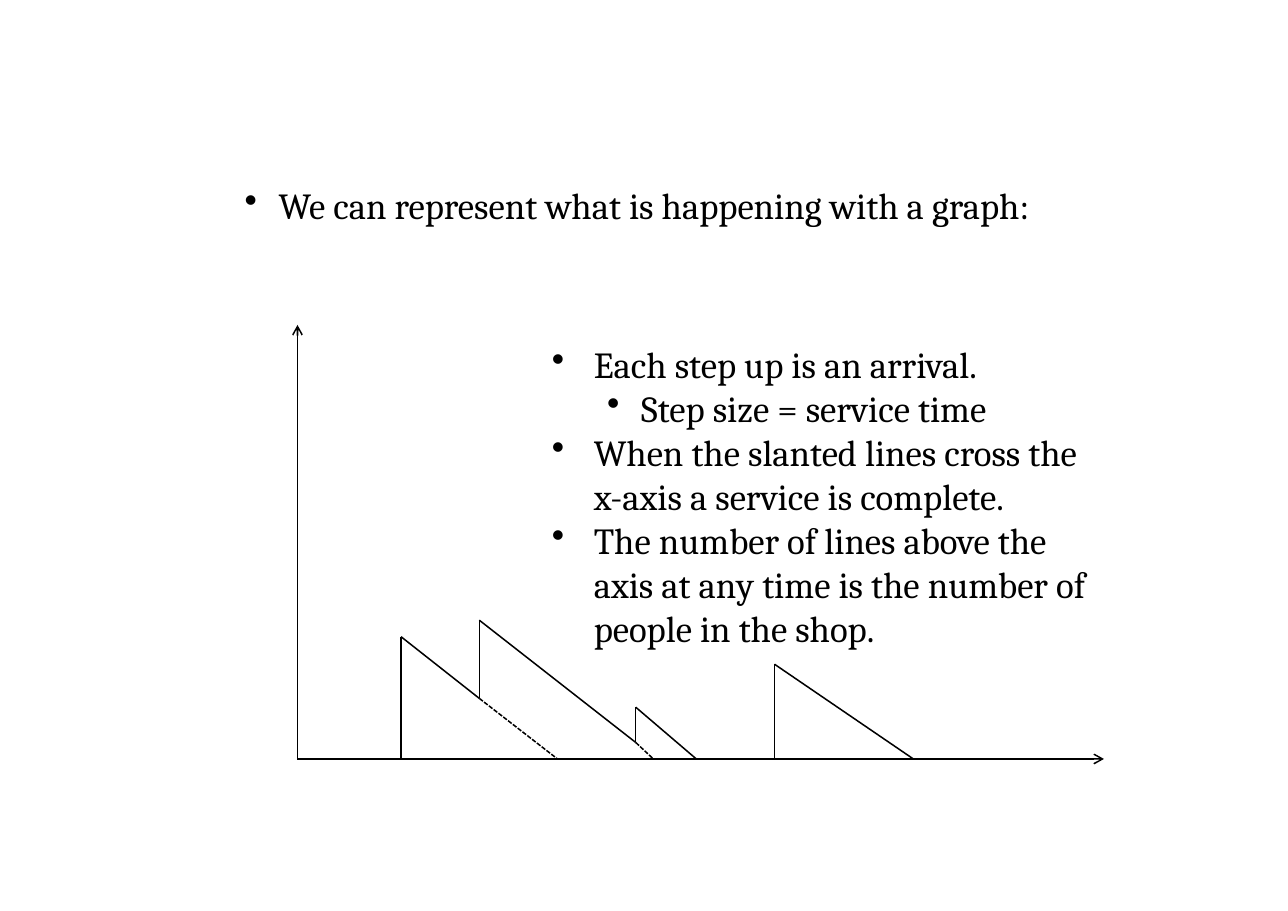
from dataclasses import dataclass

from lxml.etree import SubElement
from pptx import Presentation
from pptx.dml.color import RGBColor
from pptx.enum.dml import MSO_LINE_DASH_STYLE as Dash
from pptx.enum.shapes import MSO_CONNECTOR as Connector
from pptx.enum.text import MSO_ANCHOR as Anchor
from pptx.oxml.ns import qn
from pptx.slide import Slide
from pptx.util import Emu, Pt

EMU_PER_PX = 9144
BLACK = RGBColor(0, 0, 0)
FONT = "Cambria"
FONT_SIZE = Pt(24)
LINE_WIDTH = Pt(1)

ORIGIN_X, BASE_Y = 270, 689
TIME_AXIS_END, WORK_AXIS_TOP = 1002, 295

Point = tuple[int, int]


@dataclass(frozen=True)
class Arrival:
    """A step up at x from foot to top, then a slope to end.

    finish is where the slope would meet the time axis if cut short.
    """
    x: int
    foot: int
    top: int
    end: Point
    finish: int | None = None


@dataclass(frozen=True)
class Bullet:
    lines: tuple[str, ...]
    margin: int
    hanging: int
    level: int = 0


ARRIVALS = (
    Arrival(364, BASE_Y, 578, (435, 634), finish=506),
    Arrival(435, 634, 563, (577, 674), finish=593),
    Arrival(577, 674, 642, (632, BASE_Y)),
    Arrival(703, BASE_Y, 603, (829, BASE_Y)),
)

INTRO = (Bullet(("We can represent what is happening with a graph:",), 31, 31),)

NOTES = (
    Bullet(("Each step up is an arrival.",), 38, 38),
    Bullet(("Step size = service time",), 81, 31, level=1),
    Bullet(("When the slanted lines cross the",
            "x-axis a service is complete."), 38, 38),
    Bullet(("The number of lines above the",
            "axis at any time is the number of",
            "people in the shop."), 38, 38),
)


def px(length: int) -> Emu:
    return Emu(length * EMU_PER_PX)


def draw_line(page: Slide, start: Point, end: Point,
              dashed: bool = False, arrow: bool = False) -> None:
    line = page.shapes.add_connector(
        Connector.STRAIGHT, *map(px, start), *map(px, end))
    line.line.color.rgb = BLACK
    line.line.width = LINE_WIDTH
    if dashed:
        line.line.dash_style = Dash.SQUARE_DOT
    properties = line.element.spPr
    if arrow:
        SubElement(properties.find(qn("a:ln")), qn("a:tailEnd"), type="arrow")
    SubElement(properties, qn("a:effectLst"))


def draw_arrival(page: Slide, arrival: Arrival) -> None:
    peak = (arrival.x, arrival.top)
    draw_line(page, (arrival.x, arrival.foot), peak)
    draw_line(page, peak, arrival.end)
    if arrival.finish is not None:
        draw_line(page, arrival.end, (arrival.finish, BASE_Y), dashed=True)


def add_bullets(page: Slide, left: int, top: int, width: int, height: int,
                inset_top: int, bullets: tuple[Bullet, ...]) -> None:
    box = page.shapes.add_textbox(px(left), px(top), px(width), px(height))
    frame = box.text_frame
    frame.word_wrap = True
    frame.vertical_anchor = Anchor.TOP
    frame.margin_left = frame.margin_right = frame.margin_bottom = 0
    frame.margin_top = px(inset_top)
    for index, bullet in enumerate(bullets):
        para = frame.add_paragraph() if index else frame.paragraphs[0]
        para.level = bullet.level
        para.font.size = FONT_SIZE
        properties = para.font._element.getparent()
        properties.set("marL", str(px(bullet.margin)))
        properties.set("indent", str(-px(bullet.hanging)))
        properties.insert(0, properties.makeelement(qn("a:buChar"), {"char": "•"}))
        for number, text in enumerate(bullet.lines):
            if number:
                para.add_line_break()
            span = para.add_run()
            span.text = text
            span.font.name = FONT
            span.font.size = FONT_SIZE
            span.font.color.rgb = BLACK


def main() -> None:
    deck = Presentation()
    deck.slide_width, deck.slide_height = px(1169), px(827)
    page = deck.slides.add_slide(deck.slide_layouts[6])

    add_bullets(page, 222, 163, 750, 37, 3, INTRO)
    origin = (ORIGIN_X, BASE_Y)
    draw_line(page, origin, (ORIGIN_X, WORK_AXIS_TOP), arrow=True)
    draw_line(page, origin, (TIME_AXIS_END, BASE_Y), arrow=True)
    for arrival in ARRIVALS:
        draw_arrival(page, arrival)
    add_bullets(page, 501, 308, 520, 248, 2, NOTES)

    deck.save("out.pptx")


if __name__ == "__main__":
    main()
